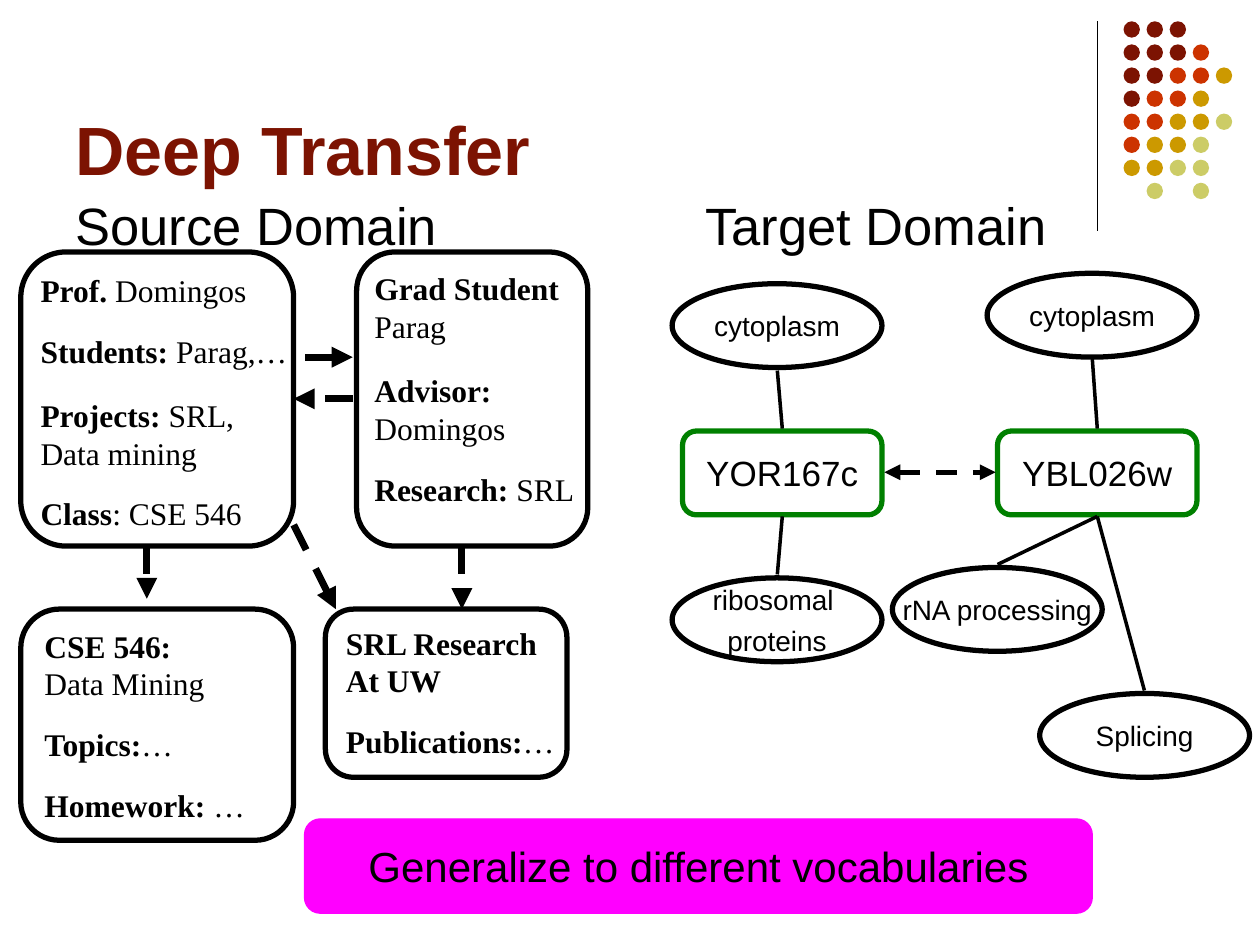
from pptx import Presentation
from pptx.dml.color import RGBColor
from pptx.enum.dml import MSO_LINE as Dash
from pptx.enum.shapes import MSO_CONNECTOR as Link, MSO_SHAPE as Kind
from pptx.enum.text import MSO_ANCHOR as Anchor, PP_ALIGN as Align
from pptx.oxml.ns import qn
from pptx.util import Cm, Pt
from lxml.etree import SubElement

BLACK, WHITE, GREEN, PINK, MAROON = "000000", "FFFFFF", "008000", "FF00FF", "7C1302"
SERIF, SANS = "Times New Roman", "Arial"
HUES = {"m": MAROON, "r": "CC3300", "g": "CC9900", "y": "CCCC66"}
DOTS = ["mmm", "mmmr", "mmrrg", "mrrg", "rrggy", "rggy", "ggyy", " y y"]

PROF = [("Prof. ", "Domingos", 0), ("Students: ", "Parag,…", 13),
        ("Projects: ", "SRL, \vData mining", 15), ("Class", ": CSE 546", 13)]
GRAD = [("Grad Student", "", 0), ("", "Parag", 0), ("Advisor:", "", 15),
        ("", "Domingos", 0), ("Research: ", "SRL", 13)]
COURSE = [("CSE 546:", "", 0), ("", "Data Mining", 0),
          ("Topics:", "…", 13), ("Homework: ", "…", 13)]
GROUP = [("SRL Research", "", 0), ("At UW", "", 0), ("Publications:", "…", 13)]


def color(code):
    """Turn a hex string into a colour."""
    return RGBColor.from_string(code)


def style(font, size, name=SANS, code=BLACK, bold=False):
    """Set the look of a font."""
    font.size, font.name, font.bold = Pt(size), name, bold
    font.color.rgb = color(code)


def shape(slide, kind, box, fill=None, edge=None, width=3):
    """Add a preset shape with the given fill and edge."""
    item = slide.shapes.add_shape(kind, *map(Cm, box))
    item.shadow.inherit = False
    if fill:
        item.fill.solid()
        item.fill.fore_color.rgb = color(fill)
    else:
        item.fill.background()
    if edge:
        item.line.color.rgb = color(edge)
        item.line.width = Pt(width)
    else:
        item.line.fill.background()
    return item


def line(slide, box, ends, width, dash=False, tips=()):
    """Draw a line whose ends are relative to the box."""
    x, y = box[:2]
    x1, y1, x2, y2 = ends
    item = slide.shapes.add_connector(
        Link.STRAIGHT, Cm(x + x1), Cm(y + y1), Cm(x + x2), Cm(y + y2))
    item.line.color.rgb = color(BLACK)
    item.line.width = Pt(width)
    if dash:
        item.line.dash_style = Dash.DASH
    for tip in tips:
        SubElement(item.line._get_or_add_ln(), qn(f"a:{tip}End"), type="triangle")
    SubElement(item._element.spPr, qn("a:effectLst"))


def text(slide, box, words, size, code=BLACK, bold=False, anchor=Anchor.TOP):
    """Add one line of heading text."""
    frame = slide.shapes.add_textbox(*map(Cm, box)).text_frame
    frame.word_wrap = True
    frame.vertical_anchor = anchor
    frame.text = words
    style(frame.paragraphs[0].font, size, SANS, code, bold)


def card(slide, box, rows, inset=0.25):
    """Add a rounded card of bold labels and plain values."""
    frame = shape(slide, Kind.ROUNDED_RECTANGLE, box, WHITE, BLACK).text_frame
    frame.word_wrap = False
    frame.vertical_anchor = Anchor.TOP
    frame.margin_left = Cm(inset)
    for i, (label, value, gap) in enumerate(rows):
        para = frame.add_paragraph() if i else frame.paragraphs[0]
        para.alignment = Align.LEFT
        para.space_before = Pt(gap)
        para.text = label + value if not (label and value) else label
        style(para.runs[0].font, 18, SERIF, bold=bool(label))
        if label and value:
            for j, part in enumerate(value.split("\v")):
                if j:
                    para.add_line_break()
                run = para.add_run()
                run.text = part
                style(run.font, 18, SERIF)


def node(slide, kind, box, words, size, edge, fill=None, width=3):
    """Add a shape with centred text."""
    frame = shape(slide, kind, box, fill, edge, width).text_frame
    frame.word_wrap = False
    frame.vertical_anchor = Anchor.MIDDLE
    frame.text = words
    for i, para in enumerate(frame.paragraphs):
        para.alignment = Align.CENTER
        para.space_before = Pt(4 if i else 0)
        style(para.font, size)


def corner(slide, box):
    """Draw the dot pattern and the rule beside it."""
    x, y, wide, high = box
    line(slide, box, (0, 0, 0, high), 0.75)
    step, size = 0.465, 0.33
    for row, marks in enumerate(DOTS):
        for col, mark in enumerate(marks):
            if mark in HUES:
                spot = (x + wide - 4 * step - size + col * step, y + row * step, size, size)
                shape(slide, Kind.OVAL, spot, HUES[mark])


def source(slide, box):
    """Draw the source domain with its linked cards."""
    x, y = box[:2]
    text(slide, (x + 0.85, y - 1.32, 9.1, 1.52), "Source Domain", 30)
    card(slide, (x, y, 5.5, 5.93), PROF, 0.13)
    card(slide, (x, y + 7.2, 5.5, 4.66), COURSE)
    card(slide, (x + 6.14, y + 7.2, 4.87, 3.39), GROUP)
    card(slide, (x + 6.77, y, 4.66, 5.93), GRAD, 0.13)
    for ends, tip in [((2.54, 5.93, 2.54, 6.99), "tail"), ((6.69, 2.96, 5.5, 2.96), "tail"),
                      ((6.69, 2.12, 5.5, 2.12), "head"), ((8.89, 5.93, 8.89, 7.2), "tail"),
                      ((5.5, 5.5, 6.35, 7.2), "tail")]:
        line(slide, box, ends, 4, True, [tip])


def target(slide, box):
    """Draw the target domain with its linked nodes."""
    x, y = box[:2]
    text(slide, (x + 0.42, y - 1.75, 9.1, 1.52), "Target Domain", 30)
    for left, top, words in [(0, 0.21, "cytoplasm"), (6.35, 0, "cytoplasm"),
                             (0, 6.14, "ribosomal \nproteins"),
                             (4.44, 5.93, "rNA processing"), (7.41, 8.47, "Splicing")]:
        node(slide, Kind.OVAL, (x + left, y + top, 4.23, 1.69), words, 16, BLACK)
    for left, words in [(0.21, "YOR167c"), (6.56, "YBL026w")]:
        node(slide, Kind.ROUNDED_RECTANGLE, (x + left, y + 3.18, 4.02, 1.69),
             words, 20, GREEN)
    line(slide, box, (4.28, 4.01, 6.52, 4.01), 3, True, ["head", "tail"])
    for ends in [(2.22, 4.9, 2.12, 6.07), (6.56, 5.87, 8.57, 4.9), (8.57, 4.9, 9.52, 8.41),
                 (8.57, 3.13, 8.47, 1.73), (2.22, 3.13, 2.12, 1.96)]:
        line(slide, box, ends, 2)


def main():
    """Build the slide and save it."""
    deck = Presentation()
    deck.slide_width, deck.slide_height = Cm(25.4), Cm(19.05)
    slide = deck.slides.add_slide(deck.slide_layouts[6])
    corner(slide, (22.12, 0.43, 2.72, 4.22))
    text(slide, (1.27, 0.33, 20.95, 3.6), "Deep Transfer", 39, MAROON, True, Anchor.BOTTOM)
    source(slide, (0.42, 5.08, 11.43, 11.86))
    target(slide, (13.55, 5.51, 11.64, 10.16))
    node(slide, Kind.ROUNDED_RECTANGLE, (6.14, 16.51, 15.88, 1.9),
         "Generalize to different vocabularies", 24, PINK, PINK, 0.75)
    deck.save("out.pptx")


if __name__ == "__main__":
    main()
